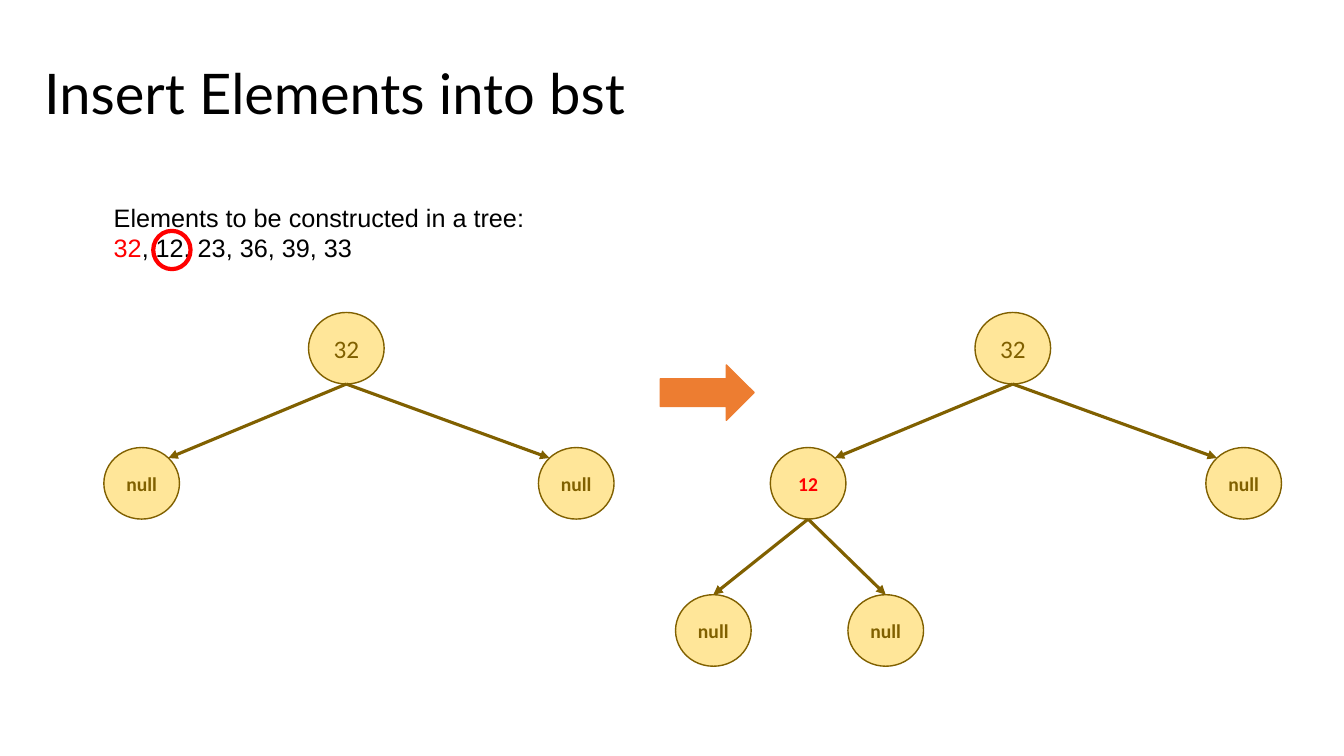
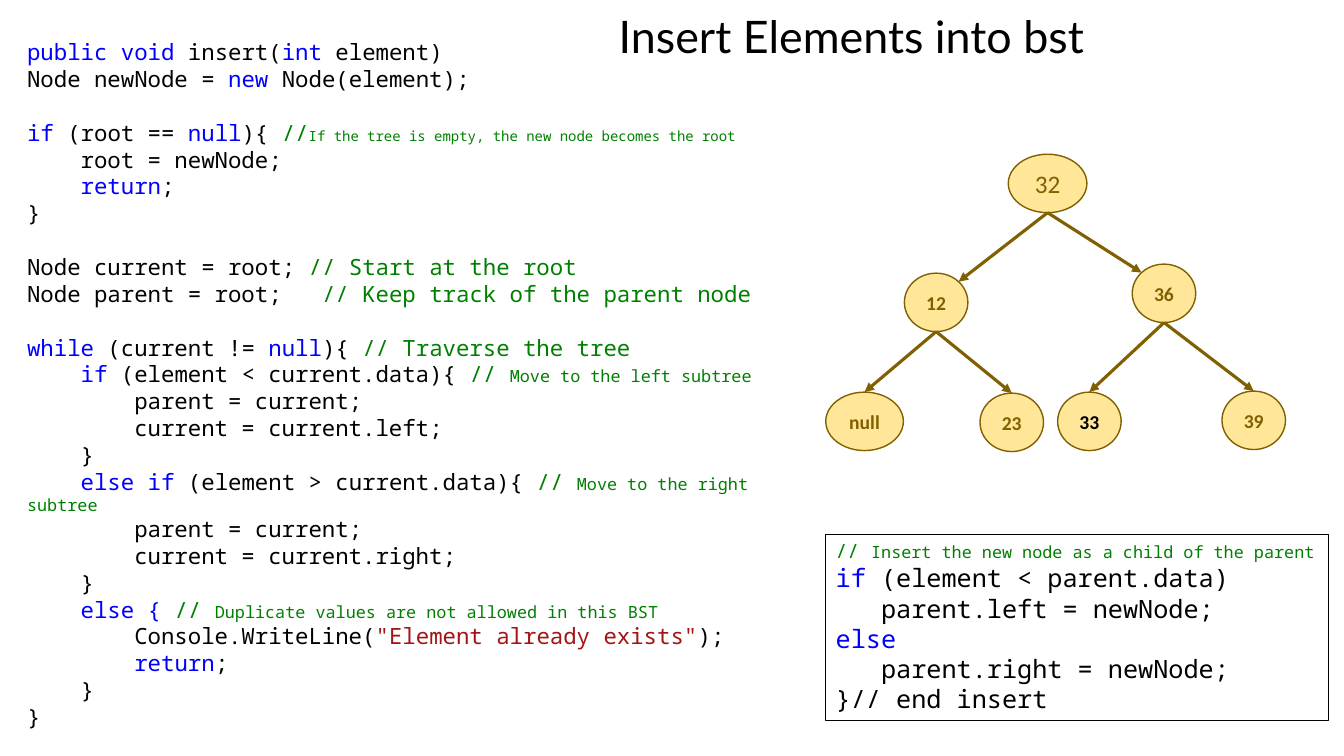
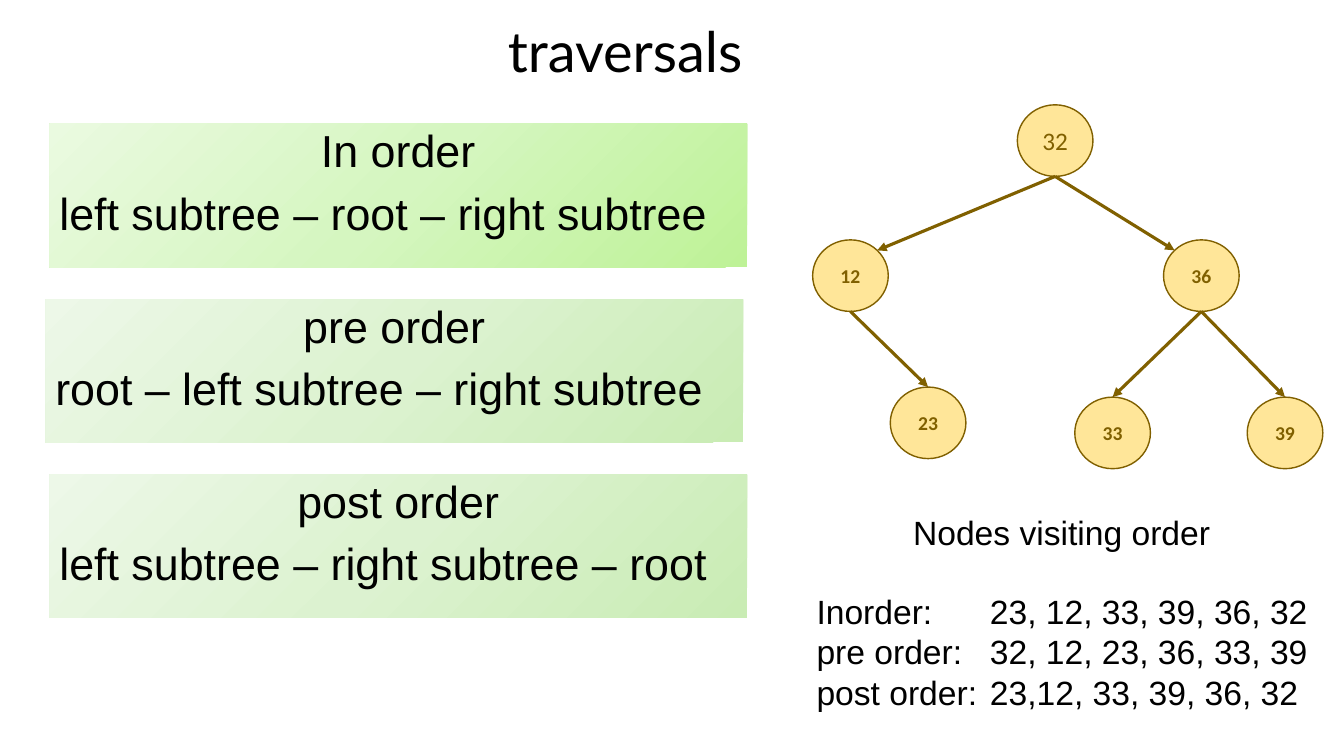
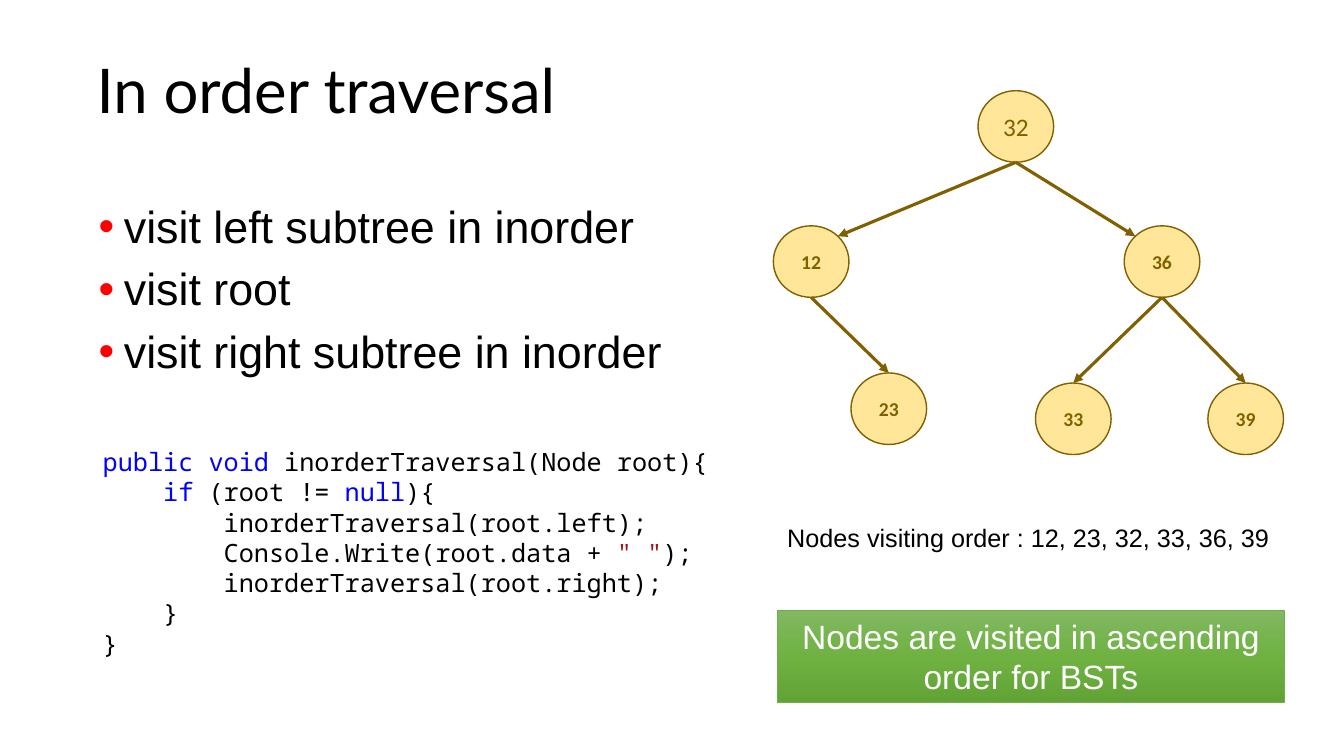
from copy import deepcopy
from dataclasses import dataclass
from typing import NamedTuple

from lxml import etree
from pptx import Presentation
from pptx.dml.color import RGBColor
from pptx.enum.shapes import MSO_CONNECTOR, MSO_SHAPE
from pptx.enum.text import MSO_ANCHOR, PP_ALIGN
from pptx.oxml.ns import qn
from pptx.util import Pt

OVAL, RECT, ARROW = MSO_SHAPE.OVAL, MSO_SHAPE.RECTANGLE, MSO_SHAPE.RIGHT_ARROW
LINE = MSO_CONNECTOR.STRAIGHT
LEFT, CENTER = PP_ALIGN.LEFT, PP_ALIGN.CENTER
TOP, MIDDLE = MSO_ANCHOR.TOP, MSO_ANCHOR.MIDDLE

UNIT = 9144  # EMU in one px, 100 px to the inch
DIAG = 0.7071  # ellipse corner point, as a share of the radius


class Face(NamedTuple):
    name: str
    skip: float  # line height, as a share of the type size


class Blend(NamedTuple):
    stops: tuple[str, str, str]
    angle: int  # clockwise degrees


@dataclass(frozen=True)
class Theme:
    head: Face = Face("Lato", 1.2)
    body: Face = Face("Arial", 1.15)
    mono: Face = Face("Noto Sans Mono", 1.2)
    node: Face = Face("Calibri", 1.22)
    ink: str = "000000"
    white: str = "FFFFFF"
    red: str = "FF0000"
    blue: str = "0000FF"
    green: str = "008000"
    brick: str = "A31515"
    gold: str = "FFE699"
    brown: str = "806000"
    orange: str = "ED7D31"
    leaf: str = "70AD47"
    lime: Blend = Blend(("BEF297", "D5F6C0", "EAFAE0"), 225)
    mint: Blend = Blend(("C9ECB4", "DCF2D0", "EDF8E8"), 225)
    moss: Blend = Blend(("81B861", "6FB242", "62A336"), 90)
    big: int = 32
    mid: int = 24
    base: int = 18
    code: int = 16
    small: int = 14
    note: int = 12
    tiny: int = 10
    tight: float = 0.9
    edge: float = 2.25


T = Theme()


class Run(NamedTuple):
    text: str
    color: str
    size: int | None = None


class Box(NamedTuple):
    x: int
    y: int
    w: int
    h: int


class Node(NamedTuple):
    """A tree node; x and y count from the root's corner."""
    label: str
    x: int = 0
    y: int = 0
    kids: tuple = ()
    ink: str = T.brown
    w: int = 75
    h: int = 71


Row = str | list[str | Run]


def key(text: str) -> Run:
    return Run(text, T.blue)


def note(text: str, size: int | None = None) -> Run:
    return Run(text, T.green, size)


def lit(text: str) -> Run:
    return Run(text, T.brick)


def px(*vals: float) -> list[int]:
    return [round(v * UNIT) for v in vals]


def rgb(code: str) -> RGBColor:
    return RGBColor.from_string(code)


# Text

def write(shape, rows: list[Row], *, face: Face = T.body, size: int = T.base,
          color: str = T.ink, bold: bool = False, align=LEFT, first=None,
          lead: float | None = None, gap: float = 0, anchor=TOP,
          pad: tuple[int, int] = (10, 5), wrap: bool = True,
          bullet: str = "", tab: int = 0) -> None:
    """Fill a shape with rows; an empty row becomes space before the next."""
    frame = shape.text_frame
    frame.word_wrap, frame.vertical_anchor = wrap, anchor
    frame.margin_left = frame.margin_right = px(pad[0])[0]
    frame.margin_top = frame.margin_bottom = px(pad[1])[0]
    fresh, extra = True, 0.0
    for row in rows:
        if not row:
            extra += size * face.skip
            continue
        para = frame.paragraphs[0] if fresh else frame.add_paragraph()
        para.alignment = first if fresh and first else align
        if lead:
            para.line_spacing = lead
        if not fresh and gap + extra:
            para.space_before = Pt(gap + extra)
        fresh, extra = False, 0.0
        if bullet:
            mark(para, bullet)
        if tab:
            stops = etree.SubElement(para._p.get_or_add_pPr(), qn("a:tabLst"))
            etree.SubElement(stops, qn("a:tab"), pos=str(tab * UNIT), algn="l")
        for part in [row] if isinstance(row, str) else row:
            item = Run(part, color) if isinstance(part, str) else part
            run = para.add_run()
            run.text = item.text
            font = run.font
            font.name, font.bold = face.name, bold
            font.size = Pt(item.size or size)
            font.color.rgb = rgb(item.color)


def mark(para, color: str) -> None:
    """Give a paragraph a hanging round bullet."""
    props = para._p.get_or_add_pPr()
    props.set("marL", str(25 * UNIT))
    props.set("indent", str(-25 * UNIT))
    tint = etree.SubElement(props, qn("a:buClr"))
    etree.SubElement(tint, qn("a:srgbClr"), val=color)
    etree.SubElement(props, qn("a:buFont"), typeface=T.body.name)
    etree.SubElement(props, qn("a:buChar"), char="•")


def label(slide, box: Box, rows: list[Row], **form) -> None:
    write(slide.shapes.add_textbox(*px(*box)), rows, **form)


def title(slide, box: Box, text: str, size: int, align=LEFT) -> None:
    label(slide, box, [text], face=T.head, size=size, align=align,
          lead=T.tight, anchor=MIDDLE)


# Shapes

def blend(shape, tint: Blend) -> None:
    fill = shape.fill
    fill.gradient()
    fill.gradient_angle = 360 - tint.angle
    stops = shape._element.spPr.find(".//" + qn("a:gsLst"))
    stops.insert(1, deepcopy(stops[0]))
    for num, (stop, color) in enumerate(zip(fill.gradient_stops, tint.stops)):
        stop.position = num / 2
        stop.color.rgb = rgb(color)


def draw(host, kind, box: Box, fill: str | Blend | None = None,
         line: str | None = None, width: float = 1):
    shape = host.shapes.add_shape(kind, *px(*box))
    shape.shadow.inherit = False
    if isinstance(fill, Blend):
        blend(shape, fill)
    elif fill:
        shape.fill.solid()
        shape.fill.fore_color.rgb = rgb(fill)
    else:
        shape.fill.background()
    if line:
        shape.line.color.rgb = rgb(line)
        shape.line.width = Pt(width)
    else:
        shape.line.fill.background()
    return shape


def link(host, start: tuple[float, float], end: tuple[float, float]) -> None:
    """Draw an arrow between two points."""
    arrow = host.shapes.add_connector(LINE, *px(*start, *end))
    arrow.line.color.rgb = rgb(T.brown)
    arrow.line.width = Pt(T.edge)
    props = arrow._element.spPr
    etree.SubElement(props.find(qn("a:ln")), qn("a:tailEnd"), type="triangle")
    etree.SubElement(props, qn("a:effectLst"))


# Trees

def entry(node: Node, top: Node) -> tuple[float, float]:
    """Where an arrow from the parent meets a node."""
    mid = node.x + node.w / 2
    if (top.x, top.y) != (0, 0):
        return mid, node.y
    side = 1 if node.x < top.x else -1
    return (mid + side * node.w / 2 * DIAG,
            node.y + node.h / 2 * (1 - DIAG))


def grow(host, node: Node, x: int, y: int, root: bool = True) -> None:
    """Draw a node and all below it, with the root's corner at x, y."""
    shape = draw(host, OVAL, Box(x + node.x, y + node.y, node.w, node.h),
                 T.gold, T.brown)
    write(shape, [node.label], face=T.node, size=T.base if root else T.small,
          color=node.ink, bold=not root, align=CENTER, anchor=MIDDLE,
          pad=(0, 0), wrap=False)
    for kid in node.kids:
        grow(host, kid, x, y, False)
        end = entry(kid, node)
        link(host, (x + node.x + node.w / 2, y + node.y + node.h),
             (x + end[0], y + end[1]))


def tree(slide, root: Node, x: int, y: int) -> None:
    grow(slide.shapes.add_group_shape(), root, x, y)


BARE = Node("32", kids=(Node("null", -203, 134), Node("null", 228, 134)))
NEXT = Node("32", kids=(
    Node("12", -203, 134, ink=T.red,
         kids=(Node("null", -297, 280), Node("null", -126, 280))),
    Node("null", 229, 134)))
FULL = Node("32", kids=(
    Node("12", -203, 134, kids=(Node("23", -126, 280),)),
    Node("36", 145, 134, kids=(Node("33", 57, 290), Node("39", 228, 290)))))
FLAT = Node("32", w=78, h=58, kids=(
    Node("12", -103, 118, w=63, h=58, kids=(
        Node("null", -181, 236, w=77, h=58),
        Node("23", -28, 237, w=63, h=58))),
    Node("36", 123, 109, w=63, h=58, kids=(
        Node("33", 49, 236, ink=T.ink, w=63, h=58),
        Node("39", 212, 235, w=63, h=58)))))

# Code listings

INSERT: list[Row] = [
    [key("public void"), " insert(", key("int"), " element)"],
    ["Node newNode = ", key("new"), " Node(element);"],
    "",
    [key("if"), " (root == ", key("null"), "){ ", note("//"),
     note("If the tree is empty, the new node becomes the root", T.tiny)],
    "    root = newNode;",
    ["    ", key("return"), ";"],
    "}",
    "",
    ["Node current = root; ", note("// Start at the root")],
    ["Node parent = root;   ", note("// Keep track of the parent node")],
    "",
    [key("while"), " (current != ", key("null"), "){ ",
     note("// Traverse the tree")],
    [key("    if"), " (element < current.data){ ", note("// "),
     note("Move to the left subtree", T.note)],
    "        parent = current;",
    "        current = current.left;",
    "    }",
    [key("    else if"), " (element > current.data){ ", note("// "),
     note("Move to the right subtree", T.note)],
    "        parent = current;",
    "        current = current.right;",
    "    }",
    ["    ", key("else { "), note("// "),
     note("Duplicate values are not allowed in this BST", T.note)],
    ["        Console.WriteLine(", lit('"Element already exists"'), ");"],
    ["        ", key("return"), ";"],
    "    }",
    "}",
]
ATTACH: list[Row] = [
    [note("// ", T.small),
     note("Insert the new node as a child of the parent", T.note)],
    [key("if"), " (element < parent.data)"],
    "   parent.left = newNode;",
    [key("else")],
    "   parent.right = newNode;",
    "}// end insert",
]
WALK: list[Row] = [
    [key("public void "), "inorderTraversal(Node root){"],
    [key("    if"), " (root != ", key("null"), "){"],
    "        inorderTraversal(root.left);",
    ["        Console.Write(root.data + ", lit('" "'), ");"],
    "        inorderTraversal(root.right);",
    "    }",
    "}",
]


# Slides

def first_step(slide) -> None:
    title(slide, Box(34, 48, 1150, 96), "Insert Elements into bst", 40)
    label(slide, Box(103, 196, 450, 71), [
        "Elements to be constructed in a tree:",
        [Run("32", T.red), ", 12, 23, 36, 39, 33"]])
    tree(slide, BARE, 306, 310)
    tree(slide, NEXT, 967, 310)
    draw(slide, ARROW, Box(655, 362, 93, 55), T.orange, T.orange)
    draw(slide, OVAL, Box(152, 229, 37, 38), line=T.red, width=3)


def insert_code(slide) -> None:
    title(slide, Box(535, 18, 619, 42), "Insert Elements into bst", T.big,
          CENTER)
    tree(slide, FLAT, 1000, 153)
    panel = draw(slide, RECT, Box(819, 530, 499, 185), line=T.ink, width=0.75)
    write(panel, ATTACH, face=T.mono)
    label(slide, Box(17, 33, 798, 683), INSERT, face=T.mono, size=T.code)


def orders(slide) -> None:
    title(slide, Box(45, 17, 1150, 73), "traversals", 40, CENTER)
    cards = (("In order", "left subtree – root – right subtree", 49, T.lime),
             ("pre order", "root – left subtree – right subtree", 45, T.mint),
             ("post order", "left subtree – right subtree – root", 49, T.mint))
    for num, (name, steps, x, tint) in enumerate(cards):
        card = draw(slide, RECT, Box(x, 123 + 174 * num, 692, 142), tint)
        write(card, [name, steps], size=T.big, first=CENTER, lead=T.tight,
              gap=10)
    tree(slide, FULL, 1009, 104)
    label(slide, Box(800, 503, 515, 212), [
        "Nodes visiting order ",
        "",
        "Inorder:\t23, 12, 33, 39, 36, 32",
        "pre order:\t32, 12, 23, 36, 33, 39",
        "post order:\t23,12, 33, 39, 36, 32"],
        size=T.mid, first=CENTER, tab=172)


def in_order(slide) -> None:
    title(slide, Box(86, 38, 1150, 109), "In order traversal", 44)
    label(slide, Box(88, 198, 598, 193), [
        "visit left subtree in inorder",
        "visit root",
        "visit right subtree in inorder"],
        size=T.big, lead=T.tight, gap=10, bullet=T.red)
    label(slide, Box(92, 438, 735, 222), WALK, face=T.mono)
    tree(slide, FULL, 970, 90)
    label(slide, Box(771, 513, 517, 40),
          ["Nodes visiting order : 12, 23, 32, 33, 36, 39"])
    banner = draw(slide, RECT, Box(771, 606, 503, 91), T.moss, T.leaf, 0.5)
    write(banner, ["Nodes are visited in ascending order for BSTs"],
          size=T.mid, color=T.white, align=CENTER)


def main() -> None:
    deck = Presentation()
    deck.slide_width, deck.slide_height = px(1333, 750)
    blank = deck.slide_layouts[6]
    for build in (first_step, insert_code, orders, in_order):
        build(deck.slides.add_slide(blank))
    deck.save("out.pptx")


if __name__ == "__main__":
    main()
